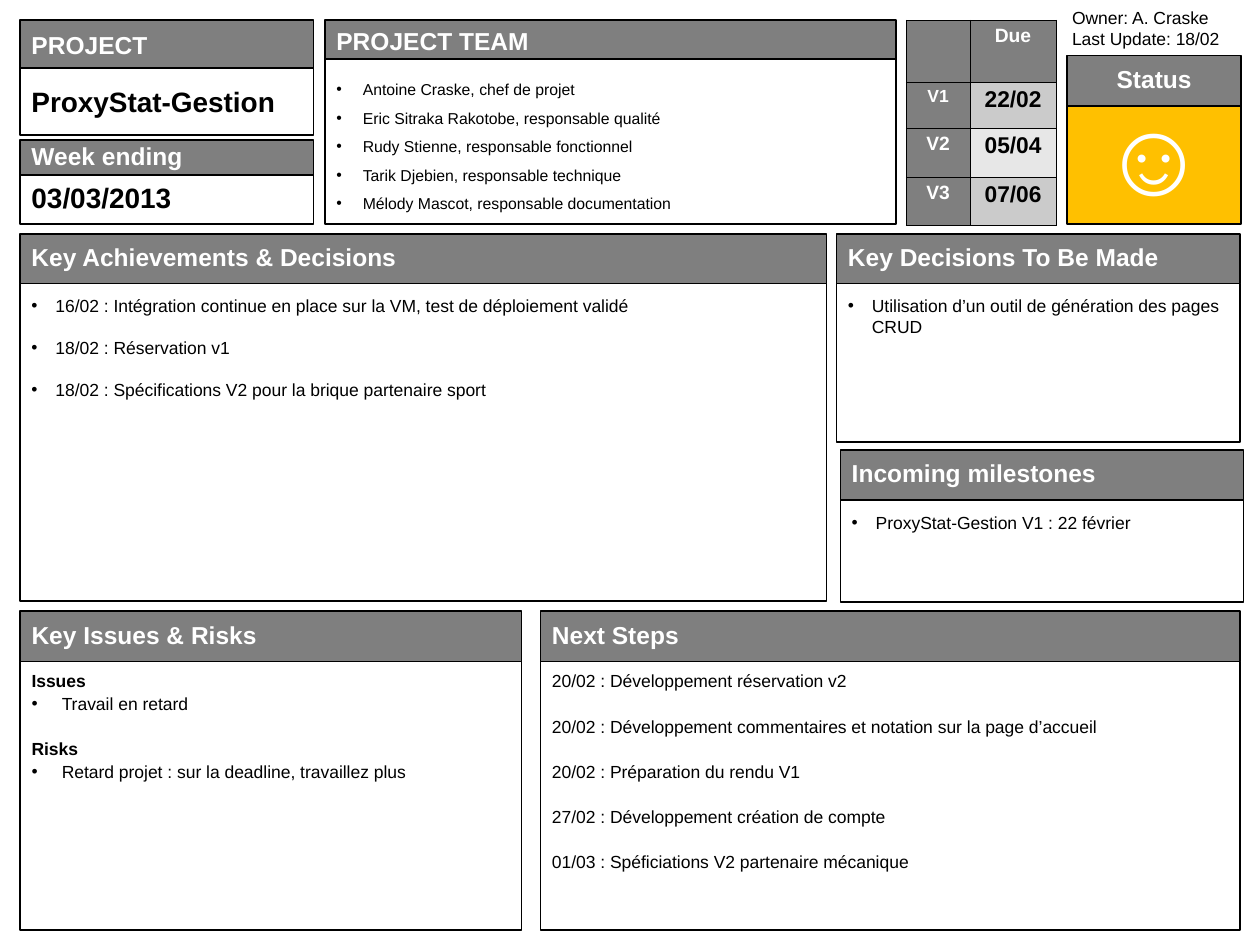
from lxml import etree
from pptx import Presentation
from pptx.dml.color import RGBColor
from pptx.enum.shapes import MSO_SHAPE
from pptx.enum.text import MSO_ANCHOR, PP_ALIGN
from pptx.oxml.ns import qn
from pptx.util import Inches, Pt

RECTANGLE = MSO_SHAPE.RECTANGLE
TOP, MIDDLE = MSO_ANCHOR.TOP, MSO_ANCHOR.MIDDLE
LEFT, CENTER = PP_ALIGN.LEFT, PP_ALIGN.CENTER

BLACK = RGBColor(0x00, 0x00, 0x00)
WHITE = RGBColor(0xFF, 0xFF, 0xFF)
GRAY = RGBColor(0x7F, 0x7F, 0x7F)
AMBER = RGBColor(0xFF, 0xC0, 0x00)
BAND_DARK = RGBColor(0xCB, 0xCB, 0xCB)
BAND_LIGHT = RGBColor(0xE7, 0xE7, 0xE7)
FONT = "Arial"

# Paragraph styles
VALUE = dict(size=16, bold=True)
TEAM = dict(size=9, spacing=1.5, indent=0.21)
NOTE = dict(size=10, indent=0.19)
STEP = dict(size=10, spacing=0.9)
RISK = dict(STEP, indent=0.24, before=2)
LABEL = dict(STEP, bold=True)
FACE = dict(size=60, color=WHITE, spacing=0.8, align=CENTER)

# Panels: title, (left, top, width, header height, body height), paragraphs
PANELS = [
    ("PROJECT", (0.16, 0.16, 2.33, 0.38, 0.53), [("ProxyStat-Gestion", VALUE)]),
    ("Week ending", (0.16, 1.11, 2.33, 0.28, 0.39),
     [("03/03/2013", dict(VALUE, spacing=0.9))]),
    ("PROJECT TEAM", (2.58, 0.16, 4.53, 0.31, 1.31), [
        ("Antoine Craske, chef de projet", TEAM),
        ("Eric Sitraka Rakotobe, responsable qualité", TEAM),
        ("Rudy Stienne, responsable fonctionnel", TEAM),
        ("Tarik Djebien, responsable technique", TEAM),
        ("Mélody Mascot, responsable documentation", TEAM),
    ]),
    ("Status", (8.47, 0.44, 1.38, 0.4, 0.94), [("☺", FACE)]),
    ("Key Achievements & Decisions", (0.16, 1.86, 6.4, 0.39, 2.52), [
        ("16/02 : Intégration continue en place sur la VM, test de déploiement validé", NOTE),
        ("18/02 : Réservation v1", dict(NOTE, before=12)),
        ("18/02 : Spécifications V2 pour la brique partenaire sport", dict(NOTE, before=12)),
    ]),
    ("Key Decisions To Be Made", (6.64, 1.86, 3.2, 0.39, 1.26),
     [("Utilisation d’un outil de génération des pages CRUD", NOTE)]),
    ("Incoming milestones", (6.67, 3.57, 3.2, 0.4, 0.81),
     [("ProxyStat-Gestion V1 : 22 février", NOTE)]),
    ("Key Issues & Risks", (0.16, 4.85, 3.98, 0.4, 2.13), [
        ("Issues", LABEL),
        ("Travail en retard", RISK),
        ("Risks", dict(LABEL, before=15)),
        ("Retard projet : sur la deadline, travaillez plus", RISK),
    ]),
    ("Next Steps", (4.29, 4.85, 5.55, 0.4, 2.13), [
        ("20/02 : Développement réservation v2", STEP),
        ("20/02 : Développement commentaires et notation sur la page d’accueil",
         dict(STEP, before=15)),
        ("20/02 : Préparation du rendu V1", dict(STEP, before=15)),
        ("27/02 : Développement création de compte", dict(STEP, before=15)),
        ("01/03 : Spéficiations V2 partenaire mécanique", dict(STEP, before=15)),
    ]),
]
CENTERED_BODIES = ("PROJECT", "Week ending", "Status")
LOW_TITLES = ("PROJECT", "PROJECT TEAM")

OWNER_LINES = ["Owner: A. Craske", "Last Update: 18/02"]

# Version, its size, due date, fill behind the date
DUE_ROWS = [
    ("", 11, "Due", GRAY),
    ("V1", 10, "22/02", BAND_DARK),
    ("V2", 11, "05/04", BAND_LIGHT),
    ("V3", 11, "07/06", BAND_DARK),
]
DUE_COLUMNS = [0.51, 0.68]
DUE_HEIGHTS = [0.49, 0.37, 0.39, 0.38]


def write_paragraph(para, text, size, color=BLACK, bold=False, spacing=1.0,
                    before=0, indent=0, align=LEFT):
    if indent:
        properties = para._p.get_or_add_pPr()
        properties.set("marL", str(Inches(indent)))
        properties.set("indent", str(-Inches(indent)))
        etree.SubElement(properties, qn("a:buFont"), typeface=FONT)
        etree.SubElement(properties, qn("a:buChar"), char="•")
    para.alignment = align
    para.line_spacing = spacing
    para.space_before = Pt(before)
    span = para.add_run()
    span.text = text
    span.font.name = FONT
    span.font.size = Pt(size)
    span.font.bold = bold
    span.font.color.rgb = color


def fill_frame(frame, paragraphs, anchor=TOP, side=0.09, top=0.09):
    frame.word_wrap = True
    frame.vertical_anchor = anchor
    frame.margin_left = frame.margin_right = Inches(side)
    frame.margin_top, frame.margin_bottom = Inches(top), Inches(0.05)
    for index, (text, style) in enumerate(paragraphs):
        para = frame.add_paragraph() if index else frame.paragraphs[0]
        write_paragraph(para, text, **style)


def add_box(page, left, top, width, height, fill):
    box = page.shapes.add_shape(RECTANGLE, Inches(left), Inches(top),
                                Inches(width), Inches(height))
    box.shadow.inherit = False
    box.fill.solid()
    box.fill.fore_color.rgb = fill
    box.line.color.rgb = BLACK
    box.line.width = Pt(1)
    return box.text_frame


def add_panel(page, title, area, paragraphs):
    left, top, width, header_height, body_height = area
    is_status = title == "Status"
    body = add_box(page, left, top + header_height, width, body_height,
                   AMBER if is_status else WHITE)
    if title in CENTERED_BODIES:
        fill_frame(body, paragraphs, MIDDLE, top=0.05)
    else:
        fill_frame(body, paragraphs)
    header = add_box(page, left, top, width, header_height, GRAY)
    style = dict(size=14, color=WHITE, bold=True, spacing=0.9,
                 align=CENTER if is_status else LEFT)
    fill_frame(header, [(title, style)], MIDDLE,
               top=0.09 if title in LOW_TITLES else 0.05)


def format_cell(cell, text, size, color, fill, side):
    cell.fill.solid()
    cell.fill.fore_color.rgb = fill
    cell.margin_left = cell.margin_right = Inches(side)
    if text:
        write_paragraph(cell.text_frame.paragraphs[0], text, size, color,
                        bold=True, spacing=0.93, align=CENTER)
    properties = cell._tc.get_or_add_tcPr()
    for index, edge in enumerate(("a:lnL", "a:lnR", "a:lnT", "a:lnB")):
        line = etree.Element(qn(edge), w=str(Pt(0.25)))
        paint = etree.SubElement(line, qn("a:solidFill"))
        etree.SubElement(paint, qn("a:srgbClr"), val=str(BLACK))
        properties.insert(index, line)


def add_due_table(page):
    table = page.shapes.add_table(
        len(DUE_ROWS), len(DUE_COLUMNS), Inches(7.19), Inches(0.16),
        Inches(sum(DUE_COLUMNS)), Inches(sum(DUE_HEIGHTS))).table
    for column, width in zip(table.columns, DUE_COLUMNS):
        column.width = Inches(width)
    for row, height in zip(table.rows, DUE_HEIGHTS):
        row.height = Inches(height)
    for index, (version, size, due, fill) in enumerate(DUE_ROWS):
        due_size, due_color = (13, BLACK) if index else (11, WHITE)
        format_cell(table.cell(index, 0), version, size, WHITE, GRAY, 0.04)
        format_cell(table.cell(index, 1), due, due_size, due_color, fill, 0.11)


def main():
    deck = Presentation()
    deck.slide_width, deck.slide_height = Inches(10), Inches(7.5)
    page = deck.slides.add_slide(deck.slide_layouts[6])
    for title, area, paragraphs in PANELS:
        add_panel(page, title, area, paragraphs)
    owner = page.shapes.add_textbox(Inches(8.41), Inches(0.01), Inches(1.42), Inches(0.44))
    fill_frame(owner.text_frame, [(line, dict(size=10)) for line in OWNER_LINES],
               side=0.1, top=0.05)
    add_due_table(page)
    deck.save("out.pptx")


if __name__ == "__main__":
    main()
